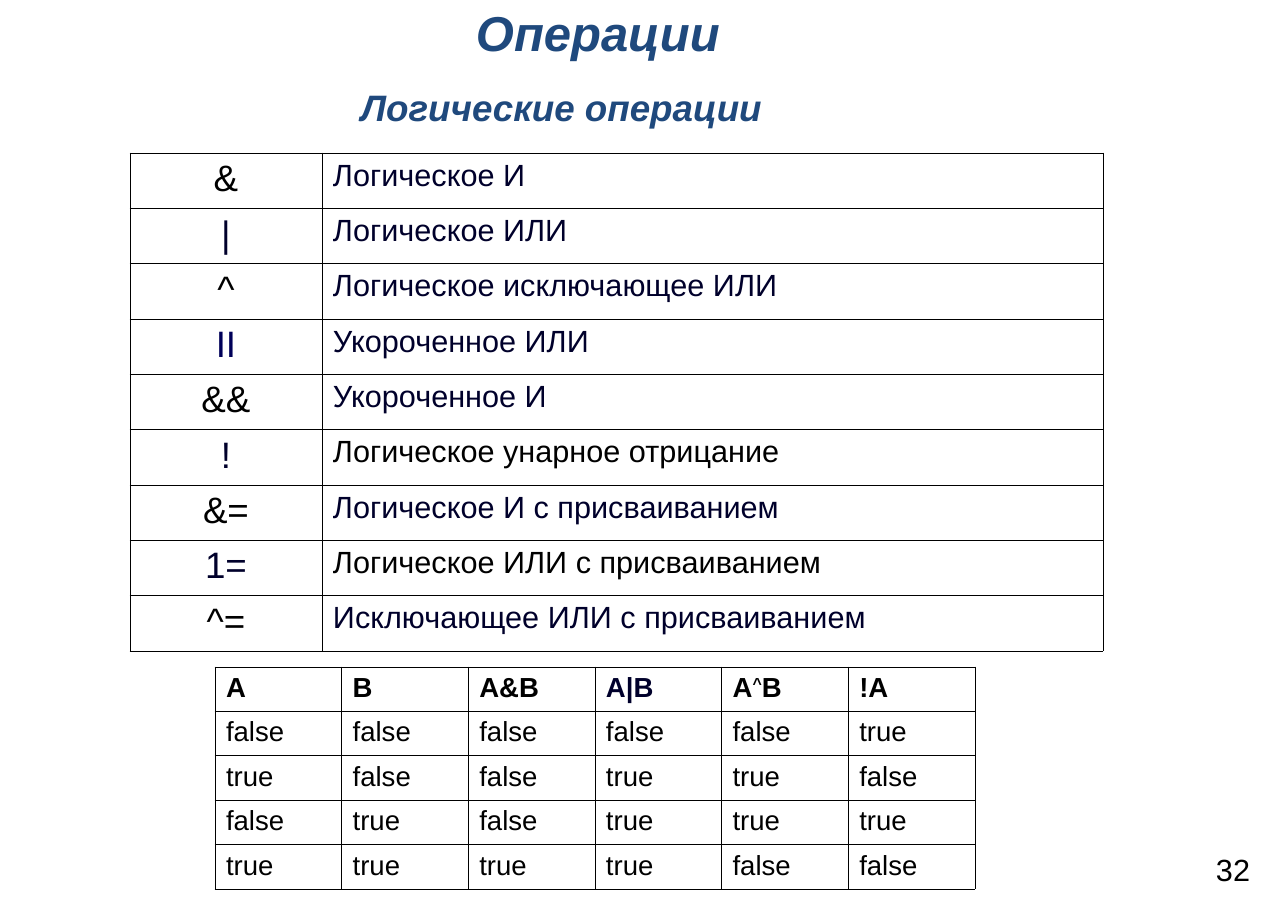
from lxml import etree
from pptx import Presentation
from pptx.dml.color import RGBColor
from pptx.enum.text import MSO_ANCHOR, PP_ALIGN
from pptx.oxml.ns import qn
from pptx.util import Emu, Pt

LEFT, CENTER = PP_ALIGN.LEFT, PP_ALIGN.CENTER
TOP, BOTTOM = MSO_ANCHOR.TOP, MSO_ANCHOR.BOTTOM
EMU_PER_PX = 914400 / 110.2
TITLE_ONLY_LAYOUT = 5
FONT = "Arial"
BORDER_WIDTH = Pt(0.45)
COLORS = {
    "heading": "1F497D",
    "black": "000000",
    "navy": "00002B",
    "indigo": "000059",
    "white": "FFFFFF",
}

# Symbol, its colour, description, its colour
OPERATIONS = [
    ("&", "black", "Логическое И", "navy"),
    ("|", "navy", "Логическое ИЛИ", "navy"),
    ("^", "black", "Логическое исключающее ИЛИ", "navy"),
    ("II", "indigo", "Укороченное ИЛИ", "navy"),
    ("&&", "black", "Укороченное И", "navy"),
    ("!", "navy", "Логическое унарное отрицание", "black"),
    ("&=", "black", "Логическое И с присваиванием", "navy"),
    ("1=", "navy", "Логическое ИЛИ с присваиванием", "black"),
    ("^=", "black", "Исключающее ИЛИ с присваиванием", "navy"),
]

# Each heading is a list of runs
TRUTH_HEADINGS = [["А"], ["В"], ["A&B"], ["A|B"], ["А", "^", "В"], ["!A"]]
TRUTH_ROWS = [
    ("false", "false", "false", "false", "false", "true"),
    ("true", "false", "false", "true", "true", "false"),
    ("false", "true", "false", "true", "true", "true"),
    ("true", "true", "true", "true", "false", "false"),
]


def px(value):
    return Emu(round(value * EMU_PER_PX))


def add_text(paragraph, text, size=18, color="black", bold=False,
             italic=False, align=LEFT, superscript=False):
    paragraph.alignment = align
    run = paragraph.add_run()
    run.text = text
    font = run.font
    font.name, font.size = FONT, Pt(size)
    font.bold, font.italic = bold, italic
    font.color.rgb = RGBColor.from_string(COLORS[color])
    if superscript:
        run._r.get_or_add_rPr().set("baseline", "30000")


def place_text(shape, box, text, anchor=TOP, margins=(11, 6), **text_format):
    shape.left, shape.top, shape.width, shape.height = map(px, box)
    frame = shape.text_frame
    frame.word_wrap = True
    frame.vertical_anchor = anchor
    frame.margin_left = frame.margin_right = px(margins[0])
    frame.margin_top = frame.margin_bottom = px(margins[1])
    add_text(frame.paragraphs[0], text, **text_format)


def add_text_box(slide, box, text, **options):
    shape = slide.shapes.add_textbox(*map(px, box))
    place_text(shape, box, text, **options)


def style_cell(cell):
    properties = cell._tc.get_or_add_tcPr()
    for side in ("a:lnL", "a:lnR", "a:lnT", "a:lnB"):
        line = etree.SubElement(properties, qn(side), w=str(BORDER_WIDTH))
        fill = etree.SubElement(line, qn("a:solidFill"))
        etree.SubElement(fill, qn("a:srgbClr"), val=COLORS["black"])
    cell.fill.solid()
    cell.fill.fore_color.rgb = RGBColor.from_string(COLORS["white"])


def add_grid(slide, left, top, widths, height, row_count):
    table = slide.shapes.add_table(
        row_count, len(widths), px(left), px(top), px(sum(widths)), px(height)
    ).table
    table.first_row = table.horz_banding = False
    for column, width in zip(table.columns, widths):
        column.width = px(width)
    for row in table.rows:
        row.height = px(height / row_count)
    for cell in table.iter_cells():
        style_cell(cell)
    return table


def add_operations_table(slide):
    table = add_grid(slide, 130, 153, [192, 781], 498, len(OPERATIONS))
    for row, operation in enumerate(OPERATIONS):
        symbol, symbol_color, description, description_color = operation
        add_text(table.cell(row, 0).text_frame.paragraphs[0], symbol,
                 size=24, color=symbol_color, align=CENTER)
        add_text(table.cell(row, 1).text_frame.paragraphs[0], description,
                 size=20, color=description_color)


def add_truth_table(slide):
    column_count = len(TRUTH_HEADINGS)
    widths = [760 / column_count] * column_count
    table = add_grid(slide, 215, 667, widths, 222, len(TRUTH_ROWS) + 1)
    for column, runs in enumerate(TRUTH_HEADINGS):
        paragraph = table.cell(0, column).text_frame.paragraphs[0]
        for text in runs:
            add_text(paragraph, text, bold=True, superscript=text == "^",
                     color="navy" if text == "A|B" else "black")
    for row, values in enumerate(TRUTH_ROWS, start=1):
        for column, value in enumerate(values):
            add_text(table.cell(row, column).text_frame.paragraphs[0], value)


def main():
    presentation = Presentation()
    presentation.slide_width, presentation.slide_height = px(1288), px(912)
    layout = presentation.slide_layouts[TITLE_ONLY_LAYOUT]
    slide = presentation.slides.add_slide(layout)

    # Headings and page number
    heading = {"color": "heading", "bold": True, "italic": True,
               "anchor": BOTTOM}
    place_text(slide.shapes.title, (157, -3, 882, 70), "Операции",
               size=32, align=CENTER, **heading)
    add_text_box(slide, (350, 80, 450, 55), "Логические операции",
                 size=24, **heading)
    add_text_box(slide, (1216, 851, 40, 37), "32", size=20, margins=(0, 0))

    # Tables
    add_operations_table(slide)
    add_truth_table(slide)

    presentation.save("out.pptx")


if __name__ == "__main__":
    main()
